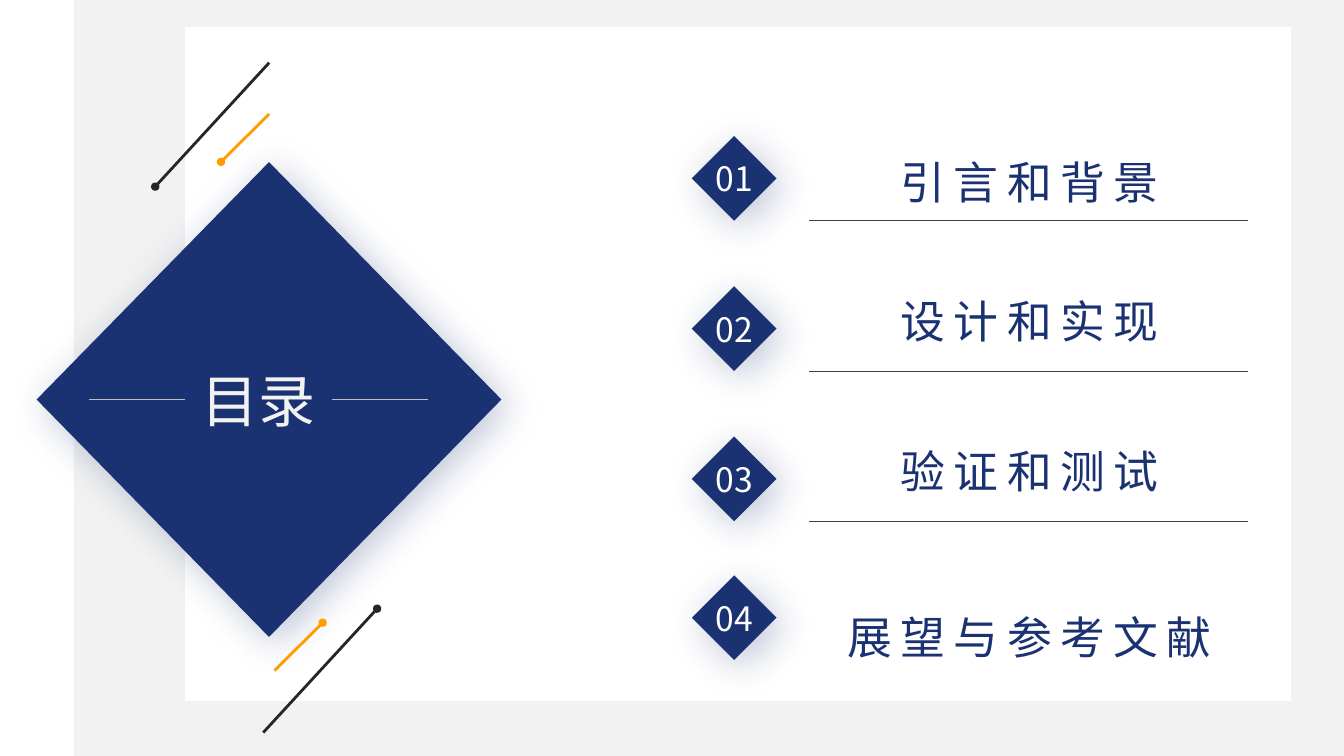
from dataclasses import dataclass

from lxml.etree import SubElement
from pptx import Presentation
from pptx.dml.color import RGBColor
from pptx.enum.shapes import MSO_CONNECTOR as Connector, MSO_SHAPE as Shape
from pptx.enum.text import MSO_ANCHOR as Anchor, MSO_AUTO_SIZE as AutoSize, PP_ALIGN as Align
from pptx.oxml.ns import qn
from pptx.util import Pt


@dataclass(frozen=True)
class Theme:
    font: str = "Noto Sans CJK SC"
    navy: str = "1A3172"
    orange: str = "FF9C00"
    white: str = "FFFFFF"
    grey: str = "F2F2F2"
    black: str = "262626"
    rule: str = "404040"
    title_rule: str = "BFBFBF"
    title_size: float = 40.7
    entry_size: float = 32
    number_size: float = 24
    entry_tracking: float = 6
    thin: float = 0.5
    thick: float = 2


class Canvas:
    """Draws on one slide with one theme; all lengths are in points."""

    def __init__(self, slide, theme):
        self.slide, self.theme = slide, theme

    def block(self, kind, box, color, glow=False):
        shape = self.slide.shapes.add_shape(kind, *map(Pt, box))
        shape.shadow.inherit = False
        shape.fill.solid()
        shape.fill.fore_color.rgb = RGBColor.from_string(color)
        shape.line.fill.background()
        if glow:
            effects = shape.element.spPr.find(qn("a:effectLst"))
            shadow = SubElement(effects, qn("a:outerShdw"), blurRad=str(Pt(28)),
                                dist=str(Pt(7)), dir="2700000", algn="tl", rotWithShape="0")
            tint = SubElement(shadow, qn("a:srgbClr"), val=self.theme.navy)
            SubElement(tint, qn("a:alpha"), val="27000")
        return shape

    def label(self, shape, text, size, color, tracking=0, spacing=None, anchor=Anchor.MIDDLE):
        frame = shape.text_frame
        frame_format = {"word_wrap": False, "auto_size": AutoSize.NONE, "vertical_anchor": anchor}
        for name, value in frame_format.items():
            setattr(frame, name, value)
        paragraph = frame.paragraphs[0]
        paragraph.alignment, paragraph.line_spacing = Align.CENTER, spacing
        run = paragraph.add_run()
        run.text = text
        for name, value in {"name": self.theme.font, "size": Pt(size), "bold": False}.items():
            setattr(run.font, name, value)
        run.font.color.rgb = RGBColor.from_string(color)
        properties = run.font._element
        SubElement(properties, qn("a:ea"), typeface=self.theme.font)
        if tracking:
            properties.set("spc", str(round(tracking * 100)))

    def text(self, box, text, **style):
        self.label(self.slide.shapes.add_textbox(*map(Pt, box)), text, **style)

    def title(self, box, text, **style):
        title = self.slide.shapes.title
        for name, value in zip(("left", "top", "width", "height"), box):
            setattr(title, name, Pt(value))
        self.label(title, text, **style)
        # Bring the title in front of the diamond
        title.element.getparent().append(title.element)
        return title

    def line(self, start, end, color, width, dot=None):
        line = self.slide.shapes.add_connector(Connector.STRAIGHT, *map(Pt, (*start, *end)))
        line.line.color.rgb = RGBColor.from_string(color)
        line.line.width = Pt(width)
        if dot:
            SubElement(line.line._ln, qn(f"a:{dot}End"), type="oval")
        SubElement(line._element.spPr, qn("a:effectLst"))
        return line


def main():
    deck = Presentation()
    deck.slide_width, deck.slide_height = Pt(960), Pt(540)
    theme = Theme()
    canvas = Canvas(deck.slides.add_slide(deck.slide_layouts[5]), theme)

    # Backdrop
    backdrop = canvas.slide.background.fill
    backdrop.solid()
    backdrop.fore_color.rgb = RGBColor.from_string(theme.grey)
    for box, color in [((0, 0, 52.8, 540), theme.white),
                       ((52.8, 0, 907.2, 540), theme.grey),
                       ((132.2, 19.2, 790, 481.5), theme.white)]:
        canvas.block(Shape.RECTANGLE, box, color)

    # Contents entries: the rule runs level with the foot of the diamond
    diamond_size = 60.5
    entries = [("引言和背景", 97.2, 87.8, 1.5, True),
               ("设计和实现", 204.5, 205.9, None, True),
               ("验证和测试", 311.8, 313.2, None, True),
               ("展望与参考文献", 411, 412.6, 1.5, False)]
    for number, (entry, top, text_top, spacing, ruled) in enumerate(entries, 1):
        diamond = canvas.block(Shape.DIAMOND, (494.2, top, diamond_size, diamond_size),
                               theme.navy, glow=True)
        canvas.label(diamond, f"{number:02}", theme.number_size, theme.white)
        canvas.text((573.2, text_top, 324.6, 59), entry, size=theme.entry_size,
                    color=theme.navy, tracking=theme.entry_tracking,
                    spacing=spacing, anchor=Anchor.TOP)
        if ruled:
            foot = top + diamond_size
            canvas.line((578, foot), (891.6, foot), theme.rule, theme.thin)

    # Title diamond with a rule on each side of the title
    canvas.block(Shape.DIAMOND, (26.2, 115.8, 332, 339.2), theme.navy, glow=True)
    title = canvas.title((132.3, 259.8, 104.8, 51), "目录",
                         size=theme.title_size, color=theme.grey)
    middle = 285.3
    for inner, outer, side in [(132.3, 63.9, 1), (237.1, 305.5, 3)]:
        title_rule = canvas.line((inner, middle), (outer, middle), theme.title_rule, theme.thin)
        title_rule.begin_connect(title, side)

    # Slanted accents, dotted at the end nearer the diamond
    long_stroke, short_stroke = (-81.4, 88.5), (-34.4, 34.2)
    for (x, y), (dx, dy), color, dot in [
            ((192.3, 44.8), long_stroke, theme.black, "tail"),
            ((192.3, 81.4), short_stroke, theme.orange, "tail"),
            ((269.4, 434.8), long_stroke, theme.black, "head"),
            ((230.5, 444.8), short_stroke, theme.orange, "head")]:
        canvas.line((x, y), (x + dx, y + dy), color, theme.thick, dot)

    deck.save("out.pptx")


if __name__ == "__main__":
    main()
